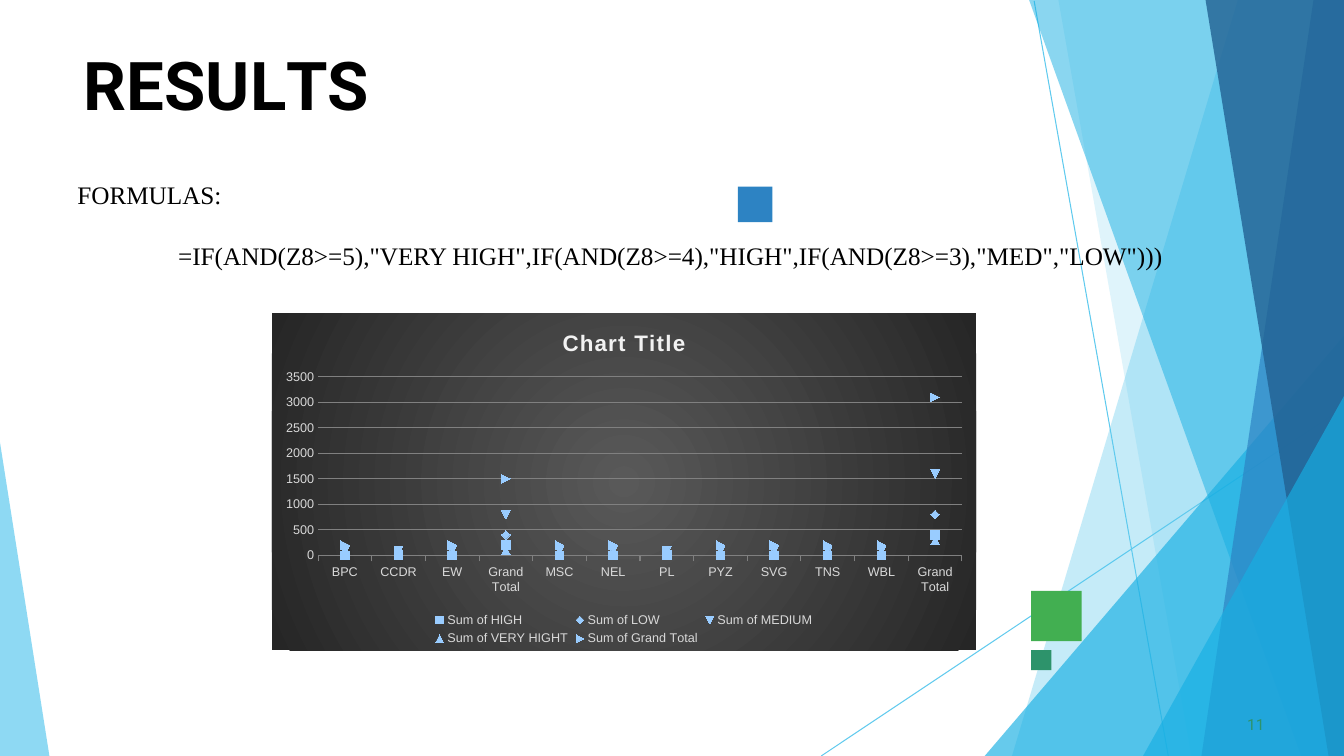
from dataclasses import dataclass

from lxml import etree
from pptx import Presentation
from pptx.chart.data import CategoryChartData
from pptx.dml.color import RGBColor
from pptx.enum.chart import XL_CHART_TYPE, XL_LEGEND_POSITION, XL_TICK_MARK
from pptx.enum.shapes import MSO_CONNECTOR, MSO_SHAPE
from pptx.enum.text import MSO_ANCHOR, MSO_AUTO_SIZE, PP_ALIGN
from pptx.oxml import parse_xml
from pptx.oxml.ns import nsdecls, qn
from pptx.util import Pt

LINE_MARKERS = XL_CHART_TYPE.LINE_MARKERS
BOTTOM = XL_LEGEND_POSITION.BOTTOM
TICK_OUT, TICK_NONE = XL_TICK_MARK.OUTSIDE, XL_TICK_MARK.NONE
STRAIGHT = MSO_CONNECTOR.STRAIGHT
RECTANGLE = MSO_SHAPE.RECTANGLE
TOP, LEFT, NO_FIT = MSO_ANCHOR.TOP, PP_ALIGN.LEFT, MSO_AUTO_SIZE.NONE


@dataclass(frozen=True)
class Theme:
    sky: str = "5FCAEE"
    cyan: str = "17AFE3"
    blue: str = "2D83C3"
    navy: str = "226192"
    green: str = "42AF51"
    teal: str = "2D936B"
    black: str = "000000"
    marker: str = "99CCFF"
    grid: str = "808080"
    label: str = "D9D9D9"
    chart_title: str = "F2F2F2"
    chart_center: str = "595959"
    chart_edge: str = "262626"
    heading_font: str = "Roboto"
    body_font: str = "Times New Roman"
    chart_font: str = "Arial"
    heading_size: float = 48
    body_size: float = 18
    number_size: float = 11
    chart_title_size: float = 16
    chart_size: float = 9


THEME = Theme()
WIDTH, HEIGHT = 960, 540

TITLE = [("R", 0), ("E", -0.4), ("S", 0.1), ("U", -0.3), ("L", -4), ("TS", 0)]
FORMULA_LABEL = "FORMULAS:"
FORMULA = '=IF(AND(Z8>=5),"VERY HIGH",IF(AND(Z8>=4),"HIGH",IF(AND(Z8>=3),"MED","LOW")))'
PAGE_NUMBER = "11"
CHART_TITLE = "Chart Title"
CATEGORIES = ["BPC", "CCDR", "EW", "Grand Total", "MSC", "NEL", "PL",
              "PYZ", "SVG", "TNS", "WBL", "Grand Total"]
SERIES = {
    "Sum of HIGH": [0, 0, 0, 200, 0, 0, 0, 0, 0, 0, 0, 400],
    "Sum of LOW": [0, 0, 0, 400, 0, 0, 0, 0, 0, 0, 0, 800],
    "Sum of MEDIUM": [100, 100, 100, 800, 100, 100, 100, 100, 100, 100, 100, 1600],
    "Sum of VERY HIGHT": [0, 0, 0, 100, 0, 0, 0, 0, 0, 0, 0, 300],
    "Sum of Grand Total": [200, 100, 200, 1500, 200, 200, 100, 200, 200, 200, 200, 3100],
}


def band(top_x, bottom_x):
    return [(WIDTH, 0), (top_x, 0), (bottom_x, HEIGHT), (WIDTH, HEIGHT)]


def corner(edge_x, edge_y, bottom_x):
    return [(edge_x, edge_y), (bottom_x, HEIGHT), (edge_x, HEIGHT)]


RAYS = [((738.7, 0.7), (834.5, HEIGHT)), ((WIDTH, 290.9), (586.6, HEIGHT))]
FACETS = [
    (THEME.sky, 36, band(884.2, 722.9)),
    (THEME.sky, 20, band(756, 851)),
    (THEME.cyan, 66, corner(WIDTH, 239.8, 703.4)),
    (THEME.cyan, 50, band(735.1, 929.5)),
    (THEME.blue, 70, band(938.2, 858.2)),
    (THEME.navy, 80, band(861.1, 949)),
    (THEME.cyan, 66, corner(WIDTH, 283, 816.5)),
    (THEME.sky, 70, corner(0, 316.1, 35.3)),
]
SQUARES = [
    (THEME.green, (736.6, 422, 36, 36)),
    (THEME.blue, (527.1, 133.4, 24.7, 25.4)),
    (THEME.teal, (736.6, 464.4, 14.4, 14.4)),
]
TITLE_AREA = (59.8, 30.2, 841, 58.3)
FORMULA_AREA = (48.2, 124.6, 864, 138.2)
NUMBER_AREA = (887.8, 509.8, 18, 13)
CHART_AREA = (194.3, 223.7, 502.9, 240.7)


def points(values):
    return [Pt(value) for value in values]


def rgb(color):
    return RGBColor.from_string(color)


def paint(shape, color, opacity=100):
    shape.shadow.inherit = False
    shape.line.fill.background()
    shape.fill.solid()
    shape.fill.fore_color.rgb = rgb(color)
    if opacity < 100:
        tone = shape.fill._xPr.find(qn("a:solidFill"))[0]
        etree.SubElement(tone, qn("a:alpha"), val=str(opacity * 1000))


def style(font, name, size, color, bold=False):
    font.name, font.size, font.bold = name, Pt(size), bold
    font.color.rgb = rgb(color)


def frame_text(frame, insets):
    frame.word_wrap = True
    frame.auto_size = NO_FIT
    frame.vertical_anchor = TOP
    (frame.margin_left, frame.margin_top,
     frame.margin_right, frame.margin_bottom) = points(insets)
    return frame


def add_span(para, text, spacing):
    span = para.add_run()
    span.text = text
    span._r.get_or_add_rPr().set("spc", str(round(spacing * 100)))


def add_backdrop(page):
    for start, end in RAYS:
        ray = page.shapes.add_connector(STRAIGHT, *points(start + end))
        ray.line.color.rgb = rgb(THEME.sky)
        ray.line.width = Pt(0.75)
        etree.SubElement(ray._element.spPr, qn("a:effectLst"))
    for color, opacity, corners in FACETS:
        first, *rest = [points(spot) for spot in corners]
        builder = page.shapes.build_freeform(*first)
        builder.add_line_segments(rest, close=True)
        paint(builder.convert_to_shape(), color, opacity)
    for color, area in SQUARES:
        paint(page.shapes.add_shape(RECTANGLE, *points(area)), color)


def add_title(page):
    title = page.shapes.title
    title.left, title.top, title.width, title.height = points(TITLE_AREA)
    para = frame_text(title.text_frame, (0, 1, 0, 0)).paragraphs[0]
    para.alignment = LEFT
    para.space_before = Pt(1)
    style(para.font, THEME.heading_font, THEME.heading_size, THEME.black, True)
    for text, spacing in TITLE:
        add_span(para, text, spacing)


def add_formula(page):
    box = page.shapes.add_textbox(*points(FORMULA_AREA))
    frame = frame_text(box.text_frame, (7.2, 3.6, 7.2, 3.6))
    label, formula = frame.paragraphs[0], frame.add_paragraph()
    label.text, formula.text = FORMULA_LABEL, FORMULA
    formula.space_before = Pt(22)
    formula._p.get_or_add_pPr().set("marL", str(Pt(72)))
    for para in (label, formula):
        style(para.font, THEME.body_font, THEME.body_size, THEME.black)


def add_page_number(page):
    box = page.shapes.add_textbox(*points(NUMBER_AREA))
    para = frame_text(box.text_frame, (3, 1, 0, 0)).paragraphs[0]
    style(para.font, THEME.heading_font, THEME.number_size, THEME.teal)
    add_span(para, PAGE_NUMBER, 0.1)


def fill_chart(chart):
    stops = "".join(
        f'<a:gs pos="{place}"><a:srgbClr val="{color}"/></a:gs>'
        for place, color in ((0, THEME.chart_center), (100000, THEME.chart_edge)))
    background = parse_xml(
        f'<c:spPr {nsdecls("c", "a")}><a:gradFill><a:gsLst>{stops}</a:gsLst>'
        '<a:path path="circle"><a:fillToRect l="50000" t="50000" r="50000" b="50000"/>'
        '</a:path></a:gradFill><a:ln><a:noFill/></a:ln></c:spPr>')
    chart._chartSpace.find(qn("c:chart")).addnext(background)


def add_results_chart(page):
    data = CategoryChartData()
    data.categories = CATEGORIES
    for name, values in SERIES.items():
        data.add_series(name, values)
    chart = page.shapes.add_chart(LINE_MARKERS, *points(CHART_AREA), data).chart
    fill_chart(chart)
    style(chart.font, THEME.chart_font, THEME.chart_size, THEME.label)

    para = chart.chart_title.text_frame.paragraphs[0]
    style(para.font, THEME.chart_font, THEME.chart_title_size, THEME.chart_title, True)
    add_span(para, CHART_TITLE, 1)
    chart.chart_title.include_in_layout = False
    chart.has_legend = True
    chart.legend.position = BOTTOM
    chart.legend.include_in_layout = False

    categories, values = chart.category_axis, chart.value_axis
    categories.major_tick_mark, values.major_tick_mark = TICK_OUT, TICK_NONE
    values.minimum_scale, values.maximum_scale, values.major_unit = 0, 3500, 500
    values.format.line.fill.background()
    for line in (categories.format.line, values.major_gridlines.format.line):
        line.color.rgb = rgb(THEME.grid)
        line.width = Pt(0.75)

    chart.plots[0].vary_by_categories = False
    for series in chart.plots[0].series:
        series.smooth = False
        series.format.line.fill.background()
        series.marker.size = 6
        series.marker.format.fill.solid()
        series.marker.format.fill.fore_color.rgb = rgb(THEME.marker)
        series.marker.format.line.fill.background()


def main():
    deck = Presentation()
    deck.slide_width, deck.slide_height = Pt(WIDTH), Pt(HEIGHT)
    page = deck.slides.add_slide(deck.slide_layouts[5])
    add_backdrop(page)
    add_title(page)
    add_formula(page)
    add_page_number(page)
    add_results_chart(page)
    deck.save("out.pptx")


if __name__ == "__main__":
    main()
